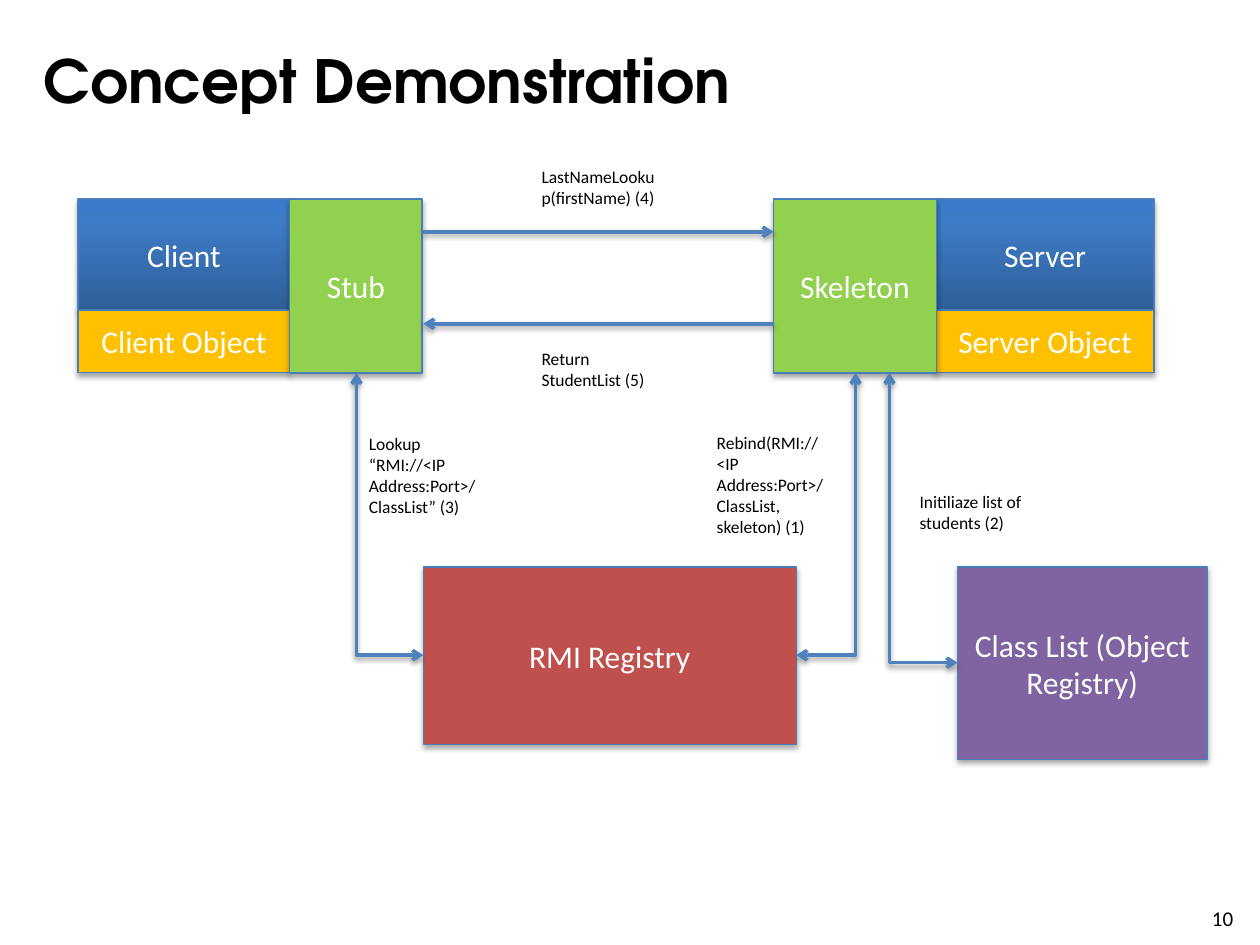
import copy

import pptx
import pptx.dml.color
import pptx.enum.shapes
import pptx.enum.text
import pptx.oxml
import pptx.oxml.ns
import pptx.util
from pptx.util import Inches

COLORS = {
    "text": "000000", "label": "FFFFFF", "outline": "4A7EBB", "arrow": "4F81BD",
    "object": "FFC000", "proxy": "92D050", "registry": "C0504D", "classes": "8064A2",
}
HOST_GRADIENT = [(0, "2F5F99"), (0.8, "3D7CC7"), (1, "3A7CCB")]
TITLE = {"size": pptx.util.Pt(34), "name": "TeX Gyre Adventor", "bold": True}
BOX_LABEL = {"size": pptx.util.Pt(18), "name": "Calibri"}
NOTE = {"size": pptx.util.Pt(10), "name": "Calibri"}
PAGE_NUMBER = {"size": pptx.util.Pt(12), "name": "Calibri"}
CONNECTOR = pptx.enum.shapes.MSO_CONNECTOR
qn = pptx.oxml.ns.qn


def rgb(value):
    return pptx.dml.color.RGBColor.from_string(value)


def write(shape, text, font_format, color):
    shape.text_frame.word_wrap = True
    paragraph = shape.text_frame.paragraphs[0]
    run = paragraph.add_run()
    run.text = text
    for name, value in font_format.items():
        setattr(run.font, name, value)
    run.font.color.rgb = rgb(COLORS[color])
    return paragraph


def add_text(slide, box, text, font_format):
    shape = slide.shapes.add_textbox(*map(Inches, box))
    write(shape, text, font_format, "text")


def add_shadow(shape, opacity, distance):
    properties = shape._element.spPr
    for effects in properties.findall(qn("a:effectLst")):
        properties.remove(effects)
    properties.append(pptx.oxml.parse_xml(
        f'<a:effectLst {pptx.oxml.ns.nsdecls("a")}>'
        f'<a:outerShdw blurRad="40000" dist="{distance}" dir="5400000" rotWithShape="0">'
        f'<a:srgbClr val="000000"><a:alpha val="{opacity * 1000}"/></a:srgbClr>'
        '</a:outerShdw></a:effectLst>'))


def fill_gradient(fill, stops):
    fill.gradient()
    fill.gradient_angle = 90
    stop_list = fill._xPr.find(qn("a:gradFill")).find(qn("a:gsLst"))
    stop_list.append(copy.deepcopy(stop_list[-1]))
    for stop, (position, color) in zip(fill.gradient_stops, stops):
        stop.position = position
        stop.color.rgb = rgb(color)


def add_box(slide, box, text, color):
    shape = slide.shapes.add_shape(
        pptx.enum.shapes.MSO_SHAPE.RECTANGLE, *map(Inches, box))
    if color == "host":
        fill_gradient(shape.fill, HOST_GRADIENT)
    else:
        shape.fill.solid()
        shape.fill.fore_color.rgb = rgb(COLORS[color])
    shape.line.color.rgb = rgb(COLORS["outline"])
    shape.line.width = pptx.util.Pt(0.75)
    add_shadow(shape, 35, 23000)
    paragraph = write(shape, text, BOX_LABEL, "label")
    paragraph.alignment = pptx.enum.text.PP_ALIGN.CENTER
    shape.text_frame.vertical_anchor = pptx.enum.text.MSO_ANCHOR.MIDDLE


def add_arrow(slide, kind, points, ends):
    connector = slide.shapes.add_connector(kind, *map(Inches, points))
    connector.line.color.rgb = rgb(COLORS["arrow"])
    connector.line.width = pptx.util.Pt(2)
    line = connector.line._get_or_add_ln()
    for end in ends:
        line.append(pptx.oxml.parse_xml(
            f'<a:{end} {pptx.oxml.ns.nsdecls("a")} type="arrow"/>'))
    add_shadow(connector, 38, 20000)
    return connector


def add_corner_arrow(slide, x1, y1, x2, y2):
    """Run down from the first point, then sideways to the second."""
    middle_x, middle_y = (x1 + x2) / 2, (y1 + y2) / 2
    half_drop, half_reach = (y2 - y1) / 2, abs(x2 - x1) / 2
    rightward = x2 > x1
    start, end = middle_x - half_drop, middle_x + half_drop
    if rightward:
        start, end = end, start
    points = (start, middle_y - half_reach, end, middle_y + half_reach)
    connector = add_arrow(slide, CONNECTOR.ELBOW, points, ["headEnd", "tailEnd"])
    properties = connector._element.spPr
    properties.find(qn("a:prstGeom")).set("prst", "bentConnector2")
    properties.find(qn("a:xfrm")).set("rot", "16200000" if rightward else "5400000")


def add_endpoint(slide, box, name, proxy, proxy_width, proxy_first):
    """Host above its object, with the proxy on the inner side."""
    left, top, width, height = box
    host_width, host_height = width - proxy_width, 0.88
    host_left = left + proxy_width if proxy_first else left
    proxy_left = left if proxy_first else left + host_width
    add_box(slide, (host_left, top, host_width, host_height), name, "host")
    add_box(slide, (host_left, top + host_height, host_width, height - host_height),
            f"{name} Object", "object")
    add_box(slide, (proxy_left, top, proxy_width, height), proxy, "proxy")


def add_calls(slide, box):
    """Call and reply between stub and skeleton."""
    left, top, width, height = box
    right, bottom = left + width, top + height
    add_arrow(slide, CONNECTOR.STRAIGHT, (left, top, right, top), ["tailEnd"])
    add_arrow(slide, CONNECTOR.STRAIGHT, (right, bottom, left, bottom), ["tailEnd"])
    for offset, text in [(-0.57, "LastNameLookup(firstName) (4)"),
                         (0.87, "Return StudentList (5)")]:
        add_text(slide, (left + 0.84, top + offset, 1.1, 0.6), text, NOTE)


def add_registries(slide, box):
    """Registries, with the arrows that reach up to the proxies."""
    left, top, width, height = box
    registry_width, classes_width = 2.96, 1.98
    classes_left = left + width - classes_width
    add_box(slide, (left, top, registry_width, 1.41), "RMI Registry", "registry")
    add_box(slide, (classes_left, top, classes_width, height),
            "Class List (Object Registry)", "classes")
    proxy_bottom = top - 1.54
    for start, end, drop in [(left - 0.53, left, 0.7),
                             (left + 3.43, left + registry_width, 0.7),
                             (left + 3.7, classes_left, 0.76)]:
        add_corner_arrow(slide, start, proxy_bottom, end, top + drop)
    for x, y, note_height, text in [
            (-0.53, -1.11, 0.93, "Lookup “RMI://<IP Address:Port>/ClassList” (3)"),
            (2.23, -1.12, 0.93, "Rebind(RMI://<IP Address:Port>/ClassList, skeleton) (1)"),
            (3.84, -0.65, 0.6, "Initiliaze list of students (2)")]:
        add_text(slide, (left + x, top + y, 1.1, note_height), text, NOTE)


def main():
    presentation = pptx.Presentation()
    presentation.slide_width = Inches(10)
    presentation.slide_height = Inches(7.5)
    slide = presentation.slides.add_slide(presentation.slide_layouts[6])
    # Title and page number
    add_text(slide, (0.25, 0.3, 8.66, 1.25), "Concept Demonstration", TITLE)
    add_text(slide, (9.52, 7.14, 0.4, 0.24), "10", PAGE_NUMBER)
    # Diagram
    add_endpoint(slide, (0.62, 1.58, 2.73, 1.38), "Client", "Stub", 1.05, False)
    add_endpoint(slide, (6.14, 1.58, 3.02, 1.38), "Server", "Skeleton", 1.29, True)
    add_calls(slide, (3.36, 1.84, 2.78, 0.73))
    add_registries(slide, (3.36, 4.5, 6.22, 1.53))
    presentation.save("out.pptx")


if __name__ == "__main__":
    main()
